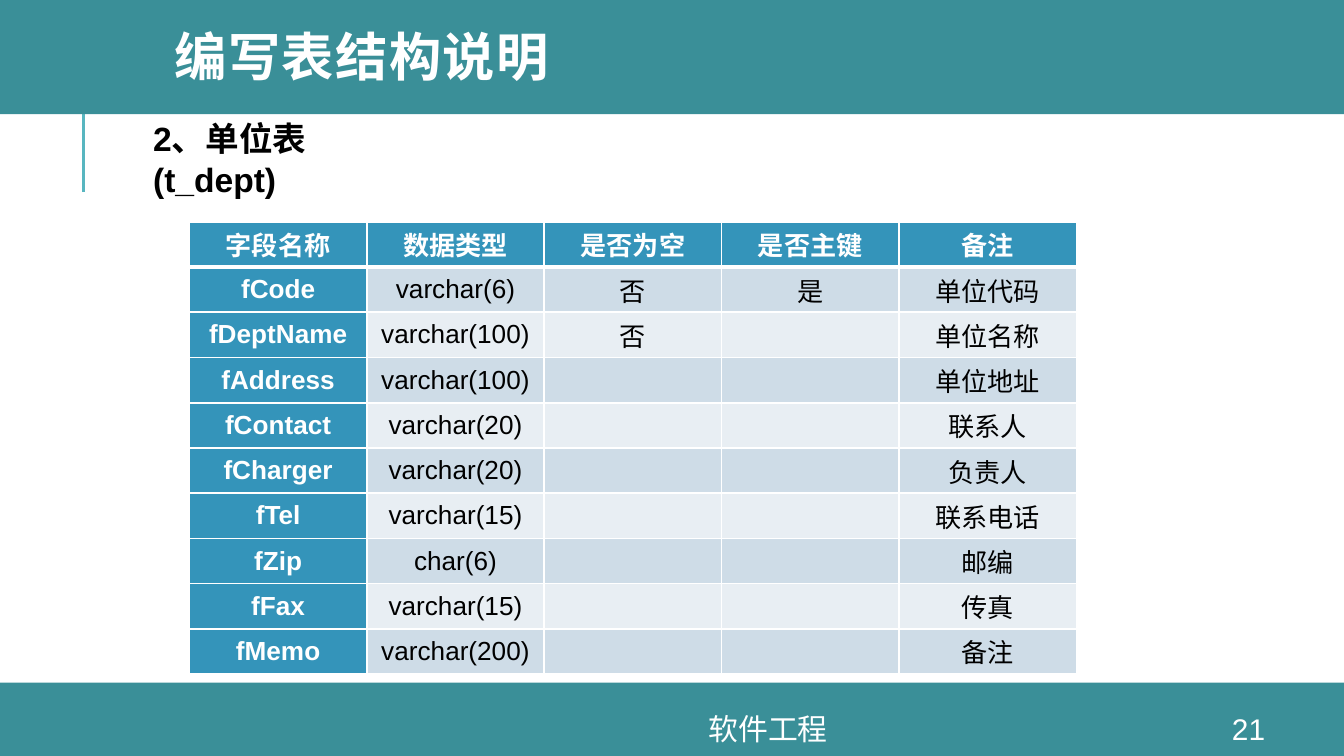
from lxml import etree
from pptx import Presentation
from pptx import util as u
from pptx.dml import color
from pptx.enum import shapes, text
from pptx.oxml import ns

COLORS = {
    "band": "3A8F98",
    "rule": "58B6C0",
    "header": "3494BA",
    "odd": "CEDCE7",
    "even": "E8EEF3",
    "white": "FFFFFF",
    "black": "000000",
}
FONT = "Arial"
HEADINGS = ["字段名称", "数据类型", "是否为空", "是否主键", "备注"]
FIELDS = [
    ("fCode", "varchar(6)", "否", "是", "单位代码"),
    ("fDeptName", "varchar(100)", "否", "", "单位名称"),
    ("fAddress", "varchar(100)", "", "", "单位地址"),
    ("fContact", "varchar(20)", "", "", "联系人"),
    ("fCharger", "varchar(20)", "", "", "负责人"),
    ("fTel", "varchar(15)", "", "", "联系电话"),
    ("fZip", "char(6)", "", "", "邮编"),
    ("fFax", "varchar(15)", "", "", "传真"),
    ("fMemo", "varchar(200)", "", "", "备注"),
]


def rgb(name):
    return color.RGBColor.from_string(COLORS[name])


def inches(*lengths):
    return [u.Inches(length) for length in lengths]


def format_paragraph(paragraph, size, ink, bold, align):
    paragraph.alignment = align
    for run in paragraph.runs:
        run.font.name = FONT
        run.font.size = u.Pt(size)
        run.font.bold = bold
        run.font.color.rgb = rgb(ink)


def add_band(slide, top, height):
    band = slide.shapes.add_shape(
        shapes.MSO_SHAPE.RECTANGLE, *inches(0, top, 10, height))
    band.shadow.inherit = False
    band.fill.solid()
    band.fill.fore_color.rgb = rgb("band")
    band.line.fill.background()


def add_rule(slide):
    rule = slide.shapes.add_connector(
        shapes.MSO_CONNECTOR.STRAIGHT, *inches(0.62, 1.43, 0.62, 0.68))
    rule.line.color.rgb = rgb("rule")
    rule.line.width = u.Pt(1.5)
    etree.SubElement(rule._element.spPr, ns.qn("a:effectLst"))


def add_label(slide, box, wording, size, ink="white", bold=False,
              align=text.PP_ALIGN.LEFT):
    frame = slide.shapes.add_textbox(*inches(*box)).text_frame
    frame.word_wrap = True
    frame.vertical_anchor = text.MSO_ANCHOR.MIDDLE
    frame.text = wording
    format_paragraph(frame.paragraphs[0], size, ink, bold, align)
    return frame


def add_borders(cell, bottom_width):
    properties = cell._tc.get_or_add_tcPr()
    for side, width in (("L", 1), ("R", 1), ("T", 1), ("B", bottom_width)):
        border = etree.SubElement(
            properties, ns.qn(f"a:ln{side}"), w=str(u.Pt(width)))
        fill = etree.SubElement(border, ns.qn("a:solidFill"))
        etree.SubElement(fill, ns.qn("a:srgbClr"), val=COLORS["white"])


def fill_cell(cell, wording, fill, heading, bottom_width):
    cell.margin_left = cell.margin_right = u.Inches(0.06)
    cell.margin_top = cell.margin_bottom = 0
    cell.vertical_anchor = text.MSO_ANCHOR.MIDDLE
    add_borders(cell, bottom_width)
    cell.fill.solid()
    cell.fill.fore_color.rgb = rgb(fill)
    if wording:
        cell.text_frame.text = wording
        format_paragraph(cell.text_frame.paragraphs[0], 14,
                         "white" if heading else "black", heading,
                         text.PP_ALIGN.CENTER)


def add_field_table(slide):
    rows = [HEADINGS, *FIELDS]
    table = slide.shapes.add_table(
        len(rows), len(HEADINGS), *inches(1.41, 1.65, 6.6, 3.37)).table
    for column in table.columns:
        column.width = u.Inches(1.32)
    for row_number, row in enumerate(rows):
        table.rows[row_number].height = u.Inches(3.37 / len(rows))
        stripe = "odd" if row_number % 2 else "even"
        for column_number, wording in enumerate(row):
            heading = row_number == 0 or column_number == 0
            fill_cell(table.cell(row_number, column_number), wording,
                      "header" if heading else stripe, heading,
                      3 if row_number == 0 else 1)


def main():
    deck = Presentation()
    deck.slide_width, deck.slide_height = inches(10, 10 * 9 / 16)
    slide = deck.slides.add_slide(deck.slide_layouts[6])

    add_rule(slide)
    add_band(slide, 5.08, 0.55)
    add_band(slide, -0.03, 0.88)
    add_field_table(slide)

    subtitle = add_label(slide, (1.07, 0.89, 2.1, 0.58),
                         "2、单位表(t_dept)", 18, "black", True)
    subtitle.margin_left = subtitle.margin_right = u.Inches(0.07)
    subtitle.margin_top = subtitle.margin_bottom = u.Inches(0.14)

    title = add_label(slide, (1.2, 0, 8.49, 0.91), "编写表结构说明", 28, bold=True)
    title.paragraphs[0].line_spacing = 0.8
    title.paragraphs[0].runs[0].font._element.set("spc", "80")

    center = text.PP_ALIGN.CENTER
    add_label(slide, (8.89, 5.31, 0.8, 0.23), "21", 16, align=center)
    add_label(slide, (2.61, 5.31, 6.21, 0.23), "软件工程", 16, align=center)

    deck.save("out.pptx")


if __name__ == "__main__":
    main()
